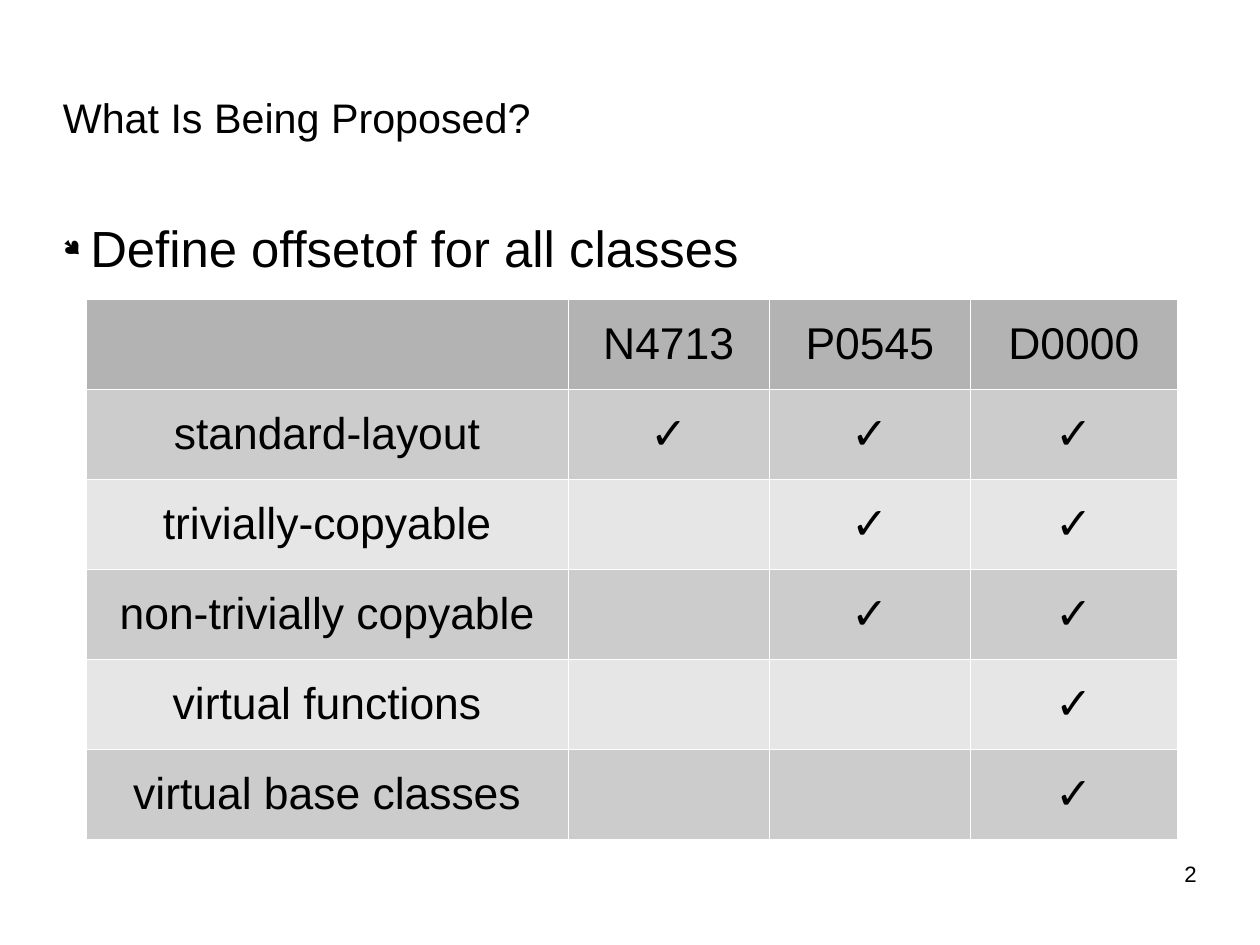
from lxml import etree
from pptx import Presentation
from pptx.dml.color import RGBColor
from pptx.enum import text as txt
from pptx.oxml import ns
from pptx.util import Inches, Pt

TITLE = "What Is Being Proposed?"
GOAL = "Define offsetof for all classes"
PAGE = "2"
PAPERS = ["N4713", "P0545", "D0000"]
SUPPORT = [  # class kind, number of papers (counted from the last) that cover it
    ("standard-layout", 3),
    ("trivially-copyable", 2),
    ("non-trivially copyable", 2),
    ("virtual functions", 1),
    ("virtual base classes", 1),
]
CM_PER_INCH = 2.54
SLIDE_CM = 28, 21
COLUMN_WIDTHS = [4.22, 1.76, 1.76, 1.81]
TABLE_HEIGHT = 4.72
INK, HEADER, BANDS, RULE = "000000", "B3B3B3", ("CCCCCC", "E6E6E6"), "FFFFFF"


def rgb(color):
    return RGBColor.from_string(color)


def set_text(frame, words, size, align):
    paragraph = frame.paragraphs[0]
    paragraph.text = words
    paragraph.alignment = align
    paragraph.font.size = Pt(size)
    paragraph.font.name = "Arial"
    paragraph.font.color.rgb = rgb(INK)
    return paragraph


def add_text(slide, box, words, size, align=txt.PP_ALIGN.LEFT, anchor=txt.MSO_ANCHOR.MIDDLE):
    frame = slide.shapes.add_textbox(*map(Inches, box)).text_frame
    frame.word_wrap = True
    frame.vertical_anchor = anchor
    frame.margin_left = frame.margin_top = frame.margin_right = frame.margin_bottom = 0
    return set_text(frame, words, size, align)


def add_child(parent, tag, **attributes):
    return etree.SubElement(parent, ns.qn(tag), attributes)


def add_bullet(paragraph, indent):
    properties = paragraph._p.get_or_add_pPr()
    properties.set("marL", str(Inches(indent)))
    properties.set("indent", str(-Inches(indent)))
    color = etree.Element(ns.qn("a:buClr"))
    add_child(color, "a:srgbClr", val=INK)
    size = etree.Element(ns.qn("a:buSzPct"), val="45000")
    font = etree.Element(ns.qn("a:buFont"), typeface="Wingdings", charset="2")
    bullet = etree.Element(ns.qn("a:buChar"), char="●")
    # Bullet settings stand before the default run properties
    for place, part in enumerate((color, size, font, bullet)):
        properties.insert(place, part)


def style_cell(cell, fill):
    properties = cell._tc.get_or_add_tcPr()
    for side in ("a:lnL", "a:lnR", "a:lnT", "a:lnB"):
        line = add_child(properties, side, w=str(Pt(0.06)))
        add_child(add_child(line, "a:solidFill"), "a:srgbClr", val=RULE)
    cell.fill.solid()
    cell.fill.fore_color.rgb = rgb(fill)
    cell.vertical_anchor = txt.MSO_ANCHOR.MIDDLE


def add_support_table(slide, left, top):
    rows = [[""] + PAPERS]
    for kind, covered in SUPPORT:
        rows.append([kind] + [""] * (len(PAPERS) - covered) + ["✓"] * covered)
    box = left, top, sum(COLUMN_WIDTHS), TABLE_HEIGHT
    table = slide.shapes.add_table(
        len(rows), len(COLUMN_WIDTHS), *map(Inches, box)).table
    for column, width in zip(table.columns, COLUMN_WIDTHS):
        column.width = Inches(width)
    for r, row in enumerate(rows):
        table.rows[r].height = Inches(TABLE_HEIGHT / len(rows))
        fill = BANDS[(r - 1) % 2] if r else HEADER
        for c, words in enumerate(row):
            cell = table.cell(r, c)
            style_cell(cell, fill)
            set_text(cell.text_frame, words, 28, txt.PP_ALIGN.CENTER)


def main():
    deck = Presentation()
    deck.slide_width, deck.slide_height = (Inches(cm / CM_PER_INCH) for cm in SLIDE_CM)
    slide = deck.slides.add_slide(deck.slide_layouts[6])
    add_text(slide, (0.55, 0.63, 7.87, 0.79), TITLE, 26)
    add_bullet(add_text(slide, (0.55, 1.81, 9.92, 0.71), GOAL, 32), 0.24)
    add_support_table(slide, 0.75, 2.62)
    add_text(slide, (7.9, 7.53, 2.57, 0.57), PAGE, 14,
             txt.PP_ALIGN.RIGHT, txt.MSO_ANCHOR.TOP)
    deck.save("out.pptx")


if __name__ == "__main__":
    main()
